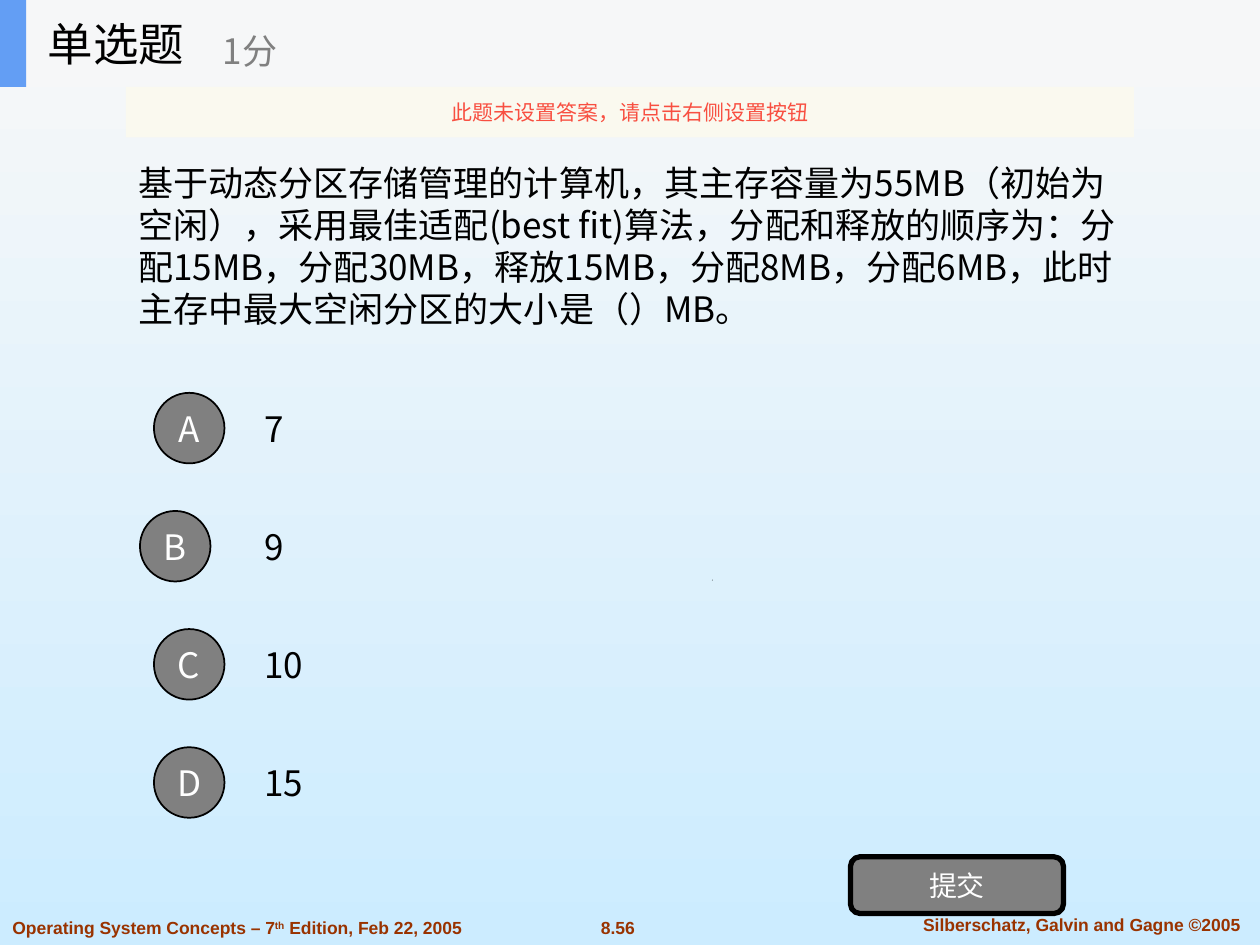
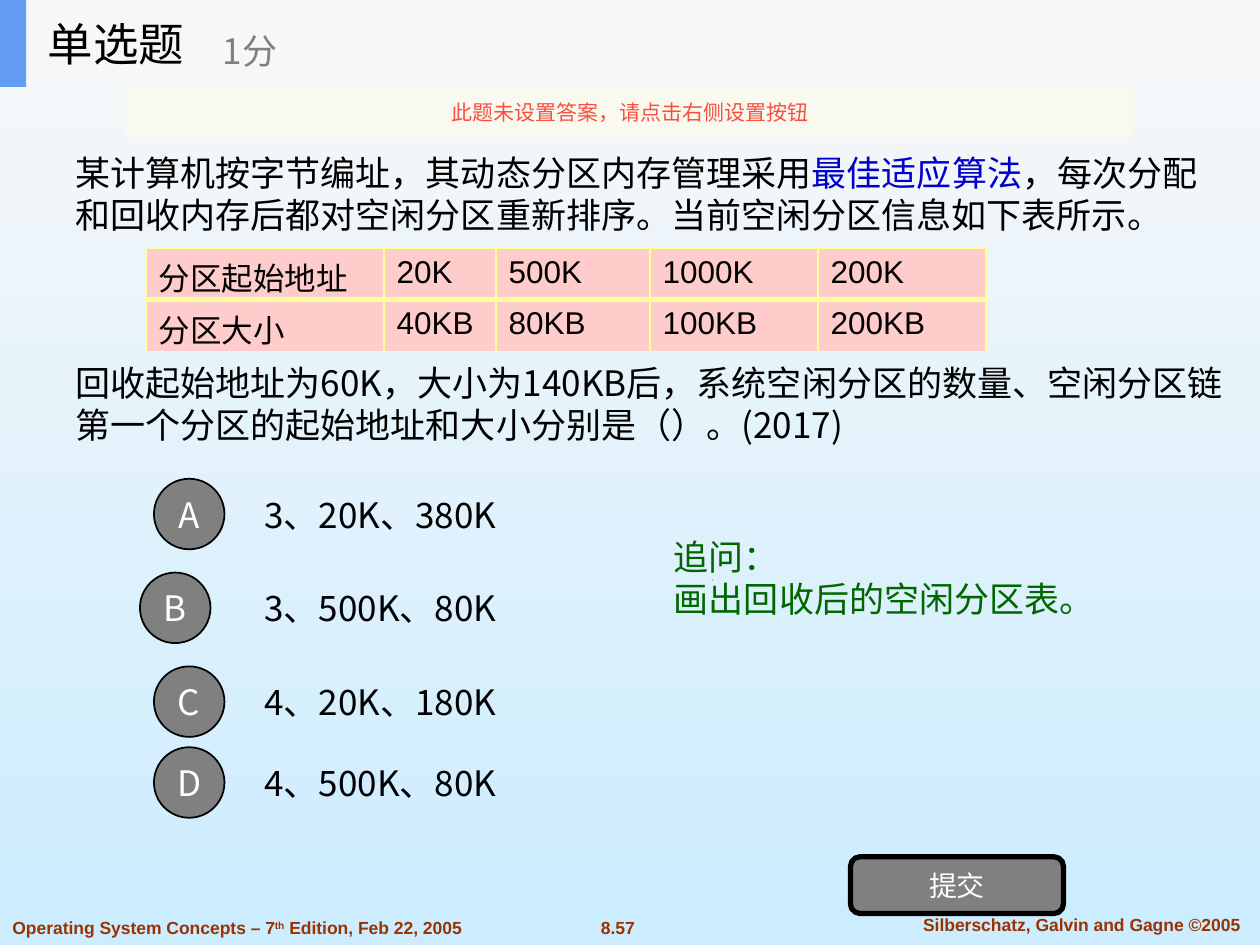
from dataclasses import dataclass
from typing import Optional

from lxml import etree
from pptx import Presentation
from pptx.dml.color import RGBColor
from pptx.enum import shapes, text
from pptx.oxml import ns
from pptx.util import Pt

COLORS = {
    "black": "000000",
    "white": "FFFFFF",
    "gray": "808080",
    "header": "F6F7F8",
    "accent": "639EF4",
    "notice": "FBFAEF",
    "alert": "F84F41",
    "footer": "993300",
    "highlight": "0000CC",
    "follow_up": "006600",
    "cell": "FFCCCC",
    "border": "FFFF99",
    "bg_top": "F8F8F8",
    "bg_bottom": "CCECFF",
}
LATIN, CJK = "Arial", "Noto Sans CJK SC"
LEFT, CENTER = text.PP_ALIGN.LEFT, text.PP_ALIGN.CENTER
LINE = 24


@dataclass(frozen=True)
class Box:
    left: float
    top: float
    width: float
    height: float

    def lengths(self) -> tuple:
        return Pt(self.left), Pt(self.top), Pt(self.width), Pt(self.height)


@dataclass(frozen=True)
class Run:
    words: str
    color: str = "black"
    size: float = 20
    font: str = CJK
    bold: bool = False
    superscript: bool = False


@dataclass(frozen=True)
class Para:
    runs: list
    align: int = LEFT
    before: float = 0
    line: Optional[float] = None


@dataclass(frozen=True)
class Option:
    letter: str
    answer: str
    top: float


def rgb(name: str) -> RGBColor:
    return RGBColor.from_string(COLORS[name])


def write(tf, paras: list) -> None:
    for i, para in enumerate(paras):
        p = tf.paragraphs[0] if i == 0 else tf.add_paragraph()
        p.alignment = para.align
        if para.before:
            p.space_before = Pt(para.before)
        if para.line:
            p.line_spacing = Pt(para.line)
        for run in para.runs:
            r = p.add_run()
            r.text = run.words
            r.font.name = run.font
            r.font.size = Pt(run.size)
            r.font.bold = run.bold
            r.font.color.rgb = rgb(run.color)
            rPr = r._r.get_or_add_rPr()
            etree.SubElement(rPr, ns.qn("a:ea"), typeface=CJK)
            if run.superscript:
                rPr.set("baseline", "30000")


def add_text(container, box: Box, paras: list, wrap: bool = True) -> None:
    tf = container.add_textbox(*box.lengths()).text_frame
    tf.word_wrap = wrap
    tf.vertical_anchor = text.MSO_ANCHOR.MIDDLE
    write(tf, paras)


def add_block(container, kind: int, box: Box, fill: str,
              line: float = 0, label: Optional[Run] = None):
    sp = container.add_shape(kind, *box.lengths())
    sp.shadow.inherit = False
    sp.fill.solid()
    sp.fill.fore_color.rgb = rgb(fill)
    if line:
        sp.line.color.rgb = rgb("black")
        sp.line.width = Pt(line)
    else:
        sp.line.fill.background()
    if label:
        tf = sp.text_frame
        tf.margin_left = tf.margin_right = 0
        tf.vertical_anchor = text.MSO_ANCHOR.MIDDLE
        write(tf, [Para([label], CENTER)])
    return sp


def add_header(s) -> None:
    rect = shapes.MSO_SHAPE.RECTANGLE
    group = s.shapes.add_group_shape().shapes
    add_block(group, rect, Box(0, 0, 720, 49.7), "header")
    add_block(group, rect, Box(0, 0, 15, 49.7), "accent")
    add_text(group, Box(20.2, 0, 150, 49.7), [Para([Run("单选题", size=26)])])
    add_text(group, Box(120.2, 8.6, 180, 40.3), [Para([Run("1分", "gray")])])
    notice = add_block(s.shapes, rect, Box(72, 49.7, 576, 28.8), "notice",
                       label=Run("此题未设置答案，请点击右侧设置按钮", "alert", 12))
    color = notice.fill._xPr.find(".//" + ns.qn("a:srgbClr"))
    etree.SubElement(color, ns.qn("a:alpha"), val="90000")


def add_footer(s, number: str) -> None:
    def footer(words: str, superscript: bool = False) -> Run:
        return Run(words, "footer", 10, LATIN, True, superscript)

    add_text(s.shapes, Box(334, 520.6, 38.2, 19.4), [Para([footer(number)], CENTER)], False)
    add_text(s.shapes, Box(511.2, 518.4, 213.8, 19.4),
             [Para([footer("Silberschatz, Galvin and Gagne ©2005")], CENTER)])
    add_text(s.shapes, Box(0, 520.6, 303, 19.4), [Para([
        footer("Operating System Concepts – 7"),
        footer("th", True),
        footer(" Edition, Feb 22, 2005"),
    ])])


def add_speck(s) -> None:
    speck = s.shapes.build_freeform(Pt(406.8), Pt(331.7))
    speck.add_line_segments([(Pt(407.2), Pt(331.7)), (Pt(407.4), Pt(331.2))])
    sp = speck.convert_to_shape()
    sp.shadow.inherit = False
    sp.fill.solid()
    sp.fill.fore_color.rgb = rgb("black")
    sp.line.fill.background()


def add_options(s, options: list, width: float) -> None:
    for option in options:
        add_text(s.shapes, Box(144, option.top, width, 50.4), [Para([Run(option.answer)])])
        left = 80 if option.letter == "B" else 88
        add_block(s.shapes, shapes.MSO_SHAPE.OVAL, Box(left, option.top + 5, 40.3, 40.3),
                  "gray", 1, Run(option.letter, "white"))


def add_border(cell, side: str, width: float) -> None:
    ln = etree.SubElement(cell._tc.get_or_add_tcPr(), ns.qn("a:" + side), w=str(Pt(width)))
    fill = etree.SubElement(ln, ns.qn("a:solidFill"))
    etree.SubElement(fill, ns.qn("a:srgbClr"), val=COLORS["border"])


def add_partitions(s, box: Box, widths: list, rows: list) -> None:
    table = s.shapes.add_table(len(rows), len(widths), *box.lengths()).table
    for column, width in zip(table.columns, widths):
        column.width = Pt(width)
    for i, row in enumerate(rows):
        table.rows[i].height = Pt(box.height / len(rows))
        for j, words in enumerate(row):
            cell = table.cell(i, j)
            cell.margin_bottom = 0
            write(cell.text_frame, [Para([Run(words, size=18, font=LATIN)])])
            add_border(cell, "lnL", 1)
            add_border(cell, "lnR", 1)
            add_border(cell, "lnT", 1 if i == 0 else 3)
            add_border(cell, "lnB", 3 if i == 0 else 1)
            cell.fill.solid()
            cell.fill.fore_color.rgb = rgb("cell")


def add_question(prs, number: str, box: Box, paras: list, options: list, width: float):
    s = prs.slides.add_slide(prs.slide_layouts[6])
    add_footer(s, number)
    add_speck(s)
    add_text(s.shapes, box, paras)
    add_options(s, options, width)
    add_block(s.shapes, shapes.MSO_SHAPE.ROUNDED_RECTANGLE, Box(486, 489.6, 121.7, 32.4),
              "gray", 3, Run("提交", "white", 16))
    add_header(s)
    return s


def set_background(prs) -> None:
    fill = prs.slide_master.background.fill
    fill.gradient()
    fill.gradient_angle = 270
    for stop, name in zip(fill.gradient_stops, ("bg_top", "bg_bottom")):
        stop.color.rgb = rgb(name)


def main() -> None:
    prs = Presentation()
    prs.slide_width, prs.slide_height = Pt(720), Pt(540)
    set_background(prs)

    best_fit = Run(
        "基于动态分区存储管理的计算机，其主存容量为55MB（初始为空闲），"
        "采用最佳适配(best fit)算法，分配和释放的顺序为：分配15MB，分配30MB，"
        "释放15MB，分配8MB，分配6MB，此时主存中最大空闲分区的大小是（）MB。")
    sizes = [Option(letter, answer, 219.5 + 67.5 * i)
             for i, (letter, answer) in enumerate(zip("ABCD", ("7", "9", "10", "15")))]
    add_question(prs, "8.56", Box(72, 56.2, 576, 168.5),
                 [Para([best_fit], line=LINE)], sizes, 504)

    reclaim = [
        Para([
            Run("某计算机按字节编址，其动态分区内存管理采用"),
            Run("最佳适应算法", "highlight"),
            Run("，每次分配和回收内存后都对空闲分区重新排序。当前空闲分区信息如下表所示。"),
        ], line=LINE),
        Para([Run("回收起始地址为60K，大小为140KB后，系统空闲分区的数量、"
                  "空闲分区链第一个分区的起始地址和大小分别是（）。(2017)")],
             before=3 * LINE, line=LINE),
    ]
    answers = [
        Option("A", "3、20K、380K", 268.6),
        Option("B", "3、500K、80K", 322.2),
        Option("C", "4、20K、180K", 375.8),
        Option("D", "4、500K、80K", 422),
    ]
    s = add_question(prs, "8.57", Box(36, 70.6, 673.9, 200.2), reclaim, answers, 232.6)
    add_partitions(s, Box(83.5, 141.8, 479.5, 59), [136, 64, 88, 96, 96], [
        ["分区起始地址", "20K", "500K", "1000K", "200K"],
        ["分区大小", "40KB", "80KB", "100KB", "200KB"],
    ])
    add_text(s.shapes, Box(378, 304.6, 262.8, 50.4), [
        Para([Run(words, "follow_up")], line=LINE)
        for words in ("追问：", "画出回收后的空闲分区表。")
    ])

    prs.save("out.pptx")


if __name__ == "__main__":
    main()
